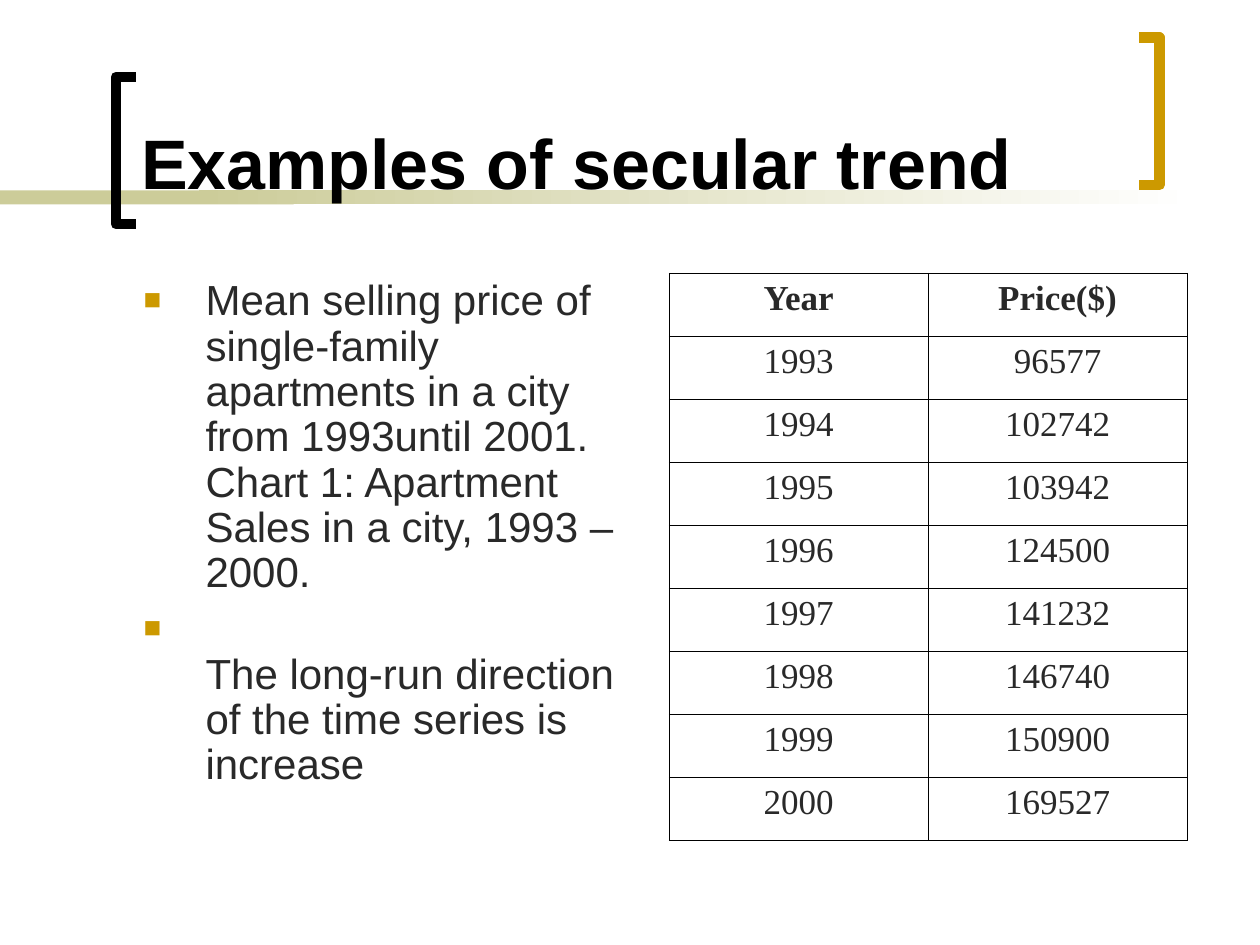
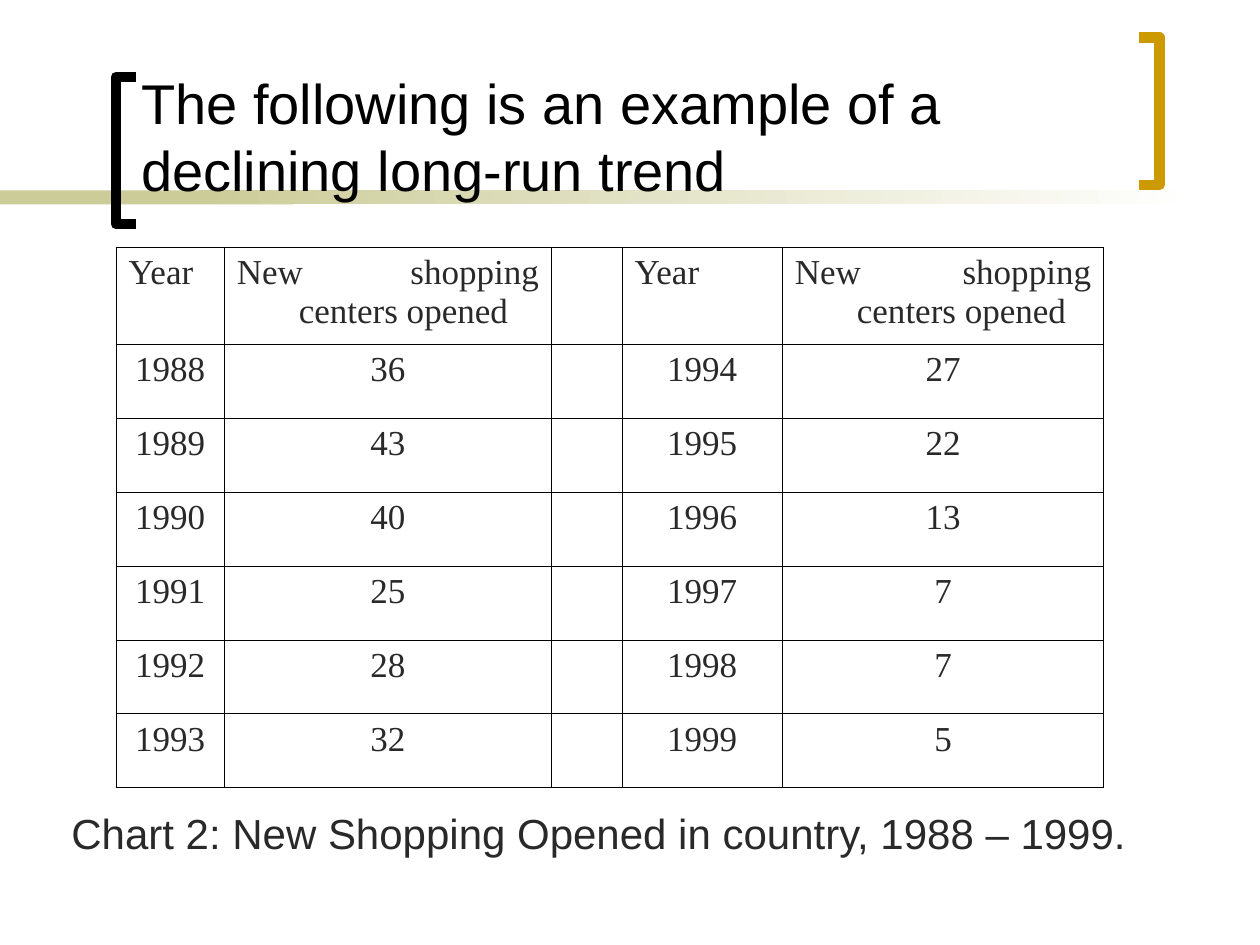
from dataclasses import dataclass

from lxml.etree import SubElement
from pptx import Presentation
from pptx.dml.color import RGBColor as Rgb
from pptx.enum.shapes import MSO_SHAPE as Preset
from pptx.enum.text import MSO_ANCHOR as Anchor, MSO_AUTO_SIZE as AutoSize, PP_ALIGN as Align
from pptx.oxml.ns import qn
from pptx.util import Cm, Pt


@dataclass(frozen=True)
class Theme:
    black: Rgb = Rgb(0x00, 0x00, 0x00)
    white: Rgb = Rgb(0xFF, 0xFF, 0xFF)
    text: Rgb = Rgb(0x29, 0x29, 0x29)
    gold: Rgb = Rgb(0xCC, 0x99, 0x00)
    khaki: Rgb = Rgb(0xCC, 0xCC, 0x99)
    sans: str = "Arial"
    serif: str = "Times New Roman"
    title_large: int = 40
    title_small: int = 32
    body: int = 24
    cell: int = 20


THEME = Theme()
HANGING = Cm(1.25)

PRICES = [("Year", "Price($)"), ("1993", "96577"), ("1994", "102742"),
          ("1995", "103942"), ("1996", "124500"), ("1997", "141232"),
          ("1998", "146740"), ("1999", "150900"), ("2000", "169527")]

OPENINGS_HEADER = ("Year", "New shopping centers opened")
OPENINGS_FIRST_HALF = [36, 43, 40, 25, 28, 32]
OPENINGS_SECOND_HALF = [27, 22, 13, 7, 7, 5]


# Text helpers
def format_runs(paragraph, size, color, font=THEME.sans, bold=False):
    for run in paragraph.runs:
        run.font.name = font
        run.font.size = Pt(size)
        run.font.bold = bold
        run.font.color.rgb = color
    for line_break in paragraph._p.findall(qn("a:br")):
        properties = SubElement(line_break, qn("a:rPr"), sz=str(size * 100))
        SubElement(properties, qn("a:latin"), typeface=font)


def set_hanging_indent(paragraph):
    properties = paragraph._p.get_or_add_pPr()
    properties.set("marL", str(HANGING))
    properties.set("indent", str(-HANGING))
    return properties


def add_square_bullet(paragraph):
    properties = set_hanging_indent(paragraph)
    color = SubElement(properties, qn("a:buClr"))
    SubElement(color, qn("a:srgbClr"), val=str(THEME.gold))
    SubElement(properties, qn("a:buSzPct"), val="70000")
    SubElement(properties, qn("a:buFont"), typeface=THEME.sans)
    SubElement(properties, qn("a:buChar"), char="■")


def place(shape, left, top, width, height):
    shape.left, shape.top = Cm(left), Cm(top)
    shape.width, shape.height = Cm(width), Cm(height)


# Shared frame: band and brackets, kept on the slide master
def add_band(slide, left, width):
    band = slide.shapes.add_shape(Preset.RECTANGLE, Cm(left), Cm(3.84), Cm(width), Cm(0.28))
    band.shadow.inherit = False
    band.line.fill.background()
    band.fill.solid()
    band.fill.fore_color.rgb = THEME.khaki
    return band


def add_fading_band(slide, left, width):
    band = add_band(slide, left, width)
    band.fill.gradient()
    band.fill.gradient_angle = 0
    for stop, color in zip(band.fill.gradient_stops, (THEME.khaki, THEME.white)):
        stop.color.rgb = color
    return band


def add_bracket(slide, tip, spine, top, color):
    bottom = top + 2.97
    corners = [(Cm(x), Cm(y)) for x, y in ((spine, top), (spine, bottom), (tip, bottom))]
    builder = slide.shapes.build_freeform(Cm(tip), Cm(top))
    builder.add_line_segments(corners, close=False)
    bracket = builder.convert_to_shape()
    bracket.shadow.inherit = False
    bracket.fill.background()
    bracket.line.color.rgb = color
    bracket.line.width = Pt(6)
    return bracket


def add_frame_to_master(presentation, slide):
    frame = [
        add_band(slide, 0, 5.92),
        add_fading_band(slide, 4.01, 20.12),
        add_bracket(slide, 2.74, 2.34, 1.55, THEME.black),
        add_bracket(slide, 22.96, 23.37, 0.76, THEME.gold),
    ]
    master_tree = presentation.slide_master.shapes._spTree
    for position, shape in enumerate(frame):
        shape._element.nvSpPr.cNvPr.set("id", str(101 + position))
        master_tree.insert(2 + position, shape._element)


# Slide elements
def set_title(slide, text, size, bold=False):
    title = slide.shapes.title
    place(title, 2.59, 0.28, 19.89, 3.94)
    frame = title.text_frame
    frame.text = text
    frame.auto_size = AutoSize.NONE
    frame.vertical_anchor = Anchor.BOTTOM
    frame.paragraphs[0].alignment = Align.LEFT
    format_runs(frame.paragraphs[0], size, THEME.black, bold=bold)


def set_bullets(slide, items):
    body = slide.placeholders[1]
    place(body, 2.64, 5.51, 10.44, 11.43)
    frame = body.text_frame
    frame.text = "\n".join(items)
    frame.auto_size = AutoSize.NONE
    for paragraph in frame.paragraphs:
        paragraph.line_spacing = 0.9
        paragraph.space_before = Pt(6)
        add_square_bullet(paragraph)
        format_runs(paragraph, THEME.body, THEME.text)


def add_cell_borders(cell):
    properties = cell._tc.get_or_add_tcPr()
    for side in ("a:lnL", "a:lnR", "a:lnT", "a:lnB"):
        line = SubElement(properties, qn(side), w=str(Pt(0.45)))
        fill = SubElement(line, qn("a:solidFill"))
        SubElement(fill, qn("a:srgbClr"), val=str(THEME.black))


def fill_cell(cell, text, alignment, bold):
    add_cell_borders(cell)
    cell.fill.background()
    cell.text = text
    paragraph = cell.text_frame.paragraphs[0]
    paragraph.alignment = alignment
    set_hanging_indent(paragraph)
    format_runs(paragraph, THEME.cell, THEME.text, THEME.serif, bold)


def add_grid_table(slide, rows, left, top, widths, heights,
                   header_alignment=Align.CENTER, header_bold=False):
    table = slide.shapes.add_table(len(rows), len(widths), Cm(left), Cm(top),
                                   Cm(sum(widths)), Cm(sum(heights))).table
    table.first_row = table.horz_banding = False
    for column, width in zip(table.columns, widths):
        column.width = Cm(width)
    for row, height in zip(table.rows, heights):
        row.height = Cm(height)
    for row_index, values in enumerate(rows):
        is_header = row_index == 0
        alignment = header_alignment if is_header else Align.CENTER
        for column_index, value in enumerate(values):
            fill_cell(table.cell(row_index, column_index), value, alignment,
                      is_header and header_bold)


def add_caption(slide, text):
    caption = slide.shapes.add_textbox(Cm(1.19), Cm(16.15), Cm(21.82), Cm(1.27))
    frame = caption.text_frame
    frame.text = text
    frame.word_wrap = False
    frame.auto_size = AutoSize.SHAPE_TO_FIT_TEXT
    frame.vertical_anchor = Anchor.MIDDLE
    frame.paragraphs[0].alignment = Align.JUSTIFY
    format_runs(frame.paragraphs[0], THEME.body, THEME.text)


def opening_rows():
    rows = [(*OPENINGS_HEADER, "", *OPENINGS_HEADER)]
    pairs = zip(OPENINGS_FIRST_HALF, OPENINGS_SECOND_HALF)
    for offset, (first, second) in enumerate(pairs):
        rows.append((str(1988 + offset), str(first), "", str(1994 + offset), str(second)))
    return rows


def main():
    presentation = Presentation()
    presentation.slide_width, presentation.slide_height = Cm(25.4), Cm(19.05)
    content_layout = presentation.slide_layouts[1]
    title_layout = presentation.slide_layouts[5]

    # Rising trend
    rising = presentation.slides.add_slide(content_layout)
    add_frame_to_master(presentation, rising)
    set_title(rising, "Examples of secular trend", THEME.title_large, bold=True)
    set_bullets(rising, [
        "Mean selling price of single-family apartments in a city from 1993until 2001. "
        "Chart 1: Apartment Sales in a city, 1993 – 2000.",
        "\vThe long-run direction of the time series is increase",
    ])
    add_grid_table(rising, PRICES, 13.49, 5.51, [5.22] * 2, [1.27] * len(PRICES),
                   header_bold=True)

    # Declining trend
    declining = presentation.slides.add_slide(title_layout)
    set_title(declining, "The following is an example of a declining long-run trend",
              THEME.title_small)
    add_grid_table(declining, opening_rows(), 2.34, 4.98, [2.18, 6.6, 1.42, 3.23, 6.48],
                   [1.96] + [1.49] * 6, header_alignment=Align.JUSTIFY)
    add_caption(declining, "Chart 2: New Shopping Opened in country, 1988 – 1999.")

    presentation.save("out.pptx")


if __name__ == "__main__":
    main()
